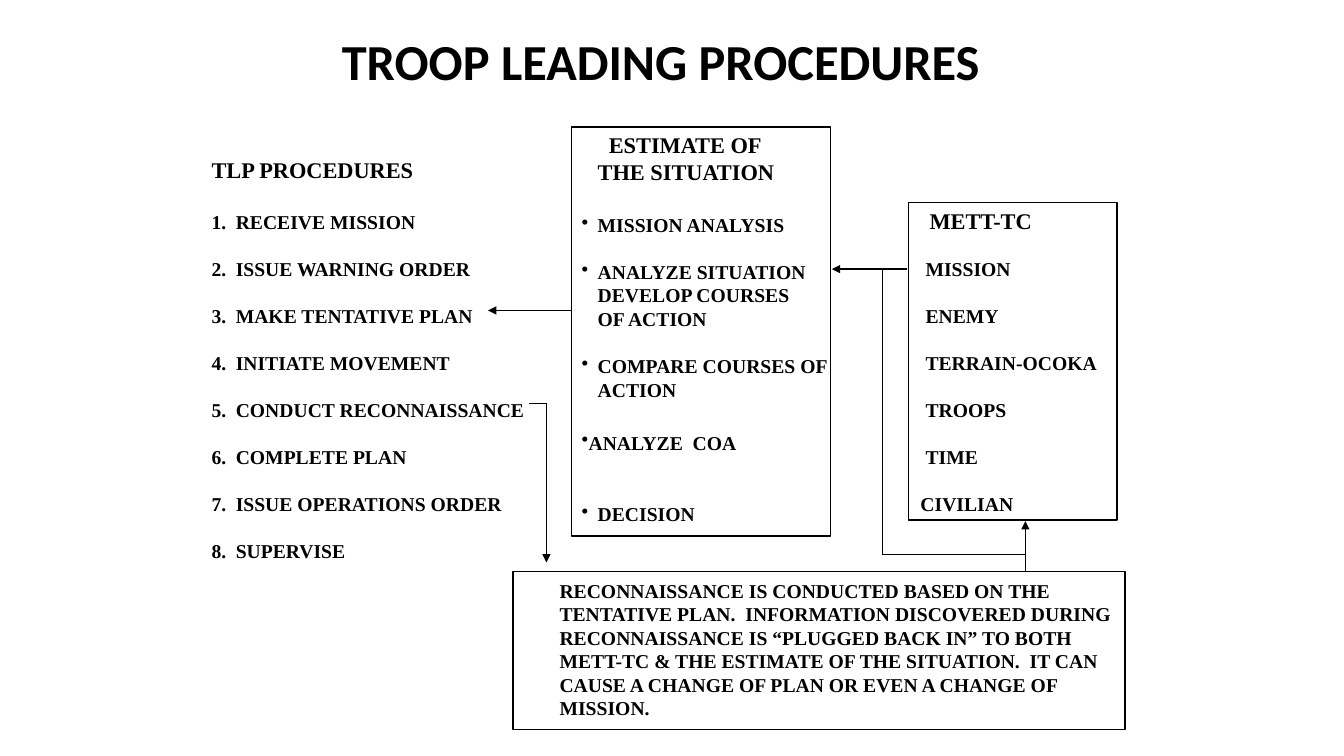
from itertools import pairwise

from lxml.etree import SubElement
from pptx import Presentation
from pptx.dml.color import RGBColor
from pptx.enum.shapes import MSO_CONNECTOR, MSO_SHAPE
from pptx.enum.text import MSO_ANCHOR, PP_ALIGN
from pptx.oxml.ns import qn
from pptx.util import Pt

PX = 9144  # 100 px to the inch
BLACK = RGBColor(0, 0, 0)
HEAD, BODY = 16, 14
PITCH = 1.2  # line height per point of type
GAP = BODY * PITCH  # one empty line of body text

STEPS = ["RECEIVE MISSION", "ISSUE WARNING ORDER", "MAKE TENTATIVE PLAN",
         "INITIATE MOVEMENT", "CONDUCT RECONNAISSANCE", "COMPLETE PLAN",
         "ISSUE OPERATIONS ORDER", "SUPERVISE"]
FACTORS = ["MISSION", "ENEMY", "TERRAIN-OCOKA", "TROOPS", "TIME"]
# text, space before in points, indent in px, bulleted
STAGES = [("MISSION ANALYSIS", 20, 16, True),
          ("ANALYZE SITUATION", GAP, 16, True),
          ("DEVELOP COURSES", 0, 16, False),
          ("OF ACTION", 0, 16, False),
          ("COMPARE COURSES OF", GAP, 16, True),
          ("ACTION", 0, 16, False),
          ("ANALYZE  COA", 21, 7, True),
          ("DECISION", 34.5, 16, True)]
RECON = ("RECONNAISSANCE IS CONDUCTED BASED ON THE TENTATIVE PLAN.  "
         "INFORMATION DISCOVERED DURING RECONNAISSANCE IS “PLUGGED BACK IN” "
         "TO BOTH METT-TC & THE ESTIMATE OF THE SITUATION.  IT CAN CAUSE A "
         "CHANGE OF PLAN OR EVEN A CHANGE OF MISSION.")


def scale(*sizes):
    return [size * PX for size in sizes]


def style(run, size, face="Times New Roman"):
    font = run.font
    font.size, font.name, font.bold = Pt(size), face, True
    font.color.rgb = BLACK


def setup(frame, left, top, right):
    frame.word_wrap = True
    frame.vertical_anchor = MSO_ANCHOR.TOP
    frame.margin_left, frame.margin_top, frame.margin_right = scale(left, top, right)
    frame.margin_bottom = 0
    return frame


def frame_box(slide, box, left, top, right):
    """Outlined rectangle; returns its text frame."""
    rect = slide.shapes.add_shape(MSO_SHAPE.RECTANGLE, *scale(*box))
    rect.shadow.inherit = False
    rect.fill.background()
    rect.line.color.rgb = BLACK
    rect.line.width = Pt(1)
    return setup(rect.text_frame, left, top, right)


def add_line(frame, text, size=BODY, gap=0, indent=0, mark=None):
    """Add a paragraph; mark is a bullet element name with its attributes."""
    para = frame.paragraphs[0]
    if para.runs:
        para = frame.add_paragraph()
    para.alignment = PP_ALIGN.LEFT
    para.line_spacing = Pt(size * PITCH)
    para.space_before = Pt(gap)
    props = para._p.get_or_add_pPr()
    props.set("marL", str(indent * PX))
    props.set("indent", str(-indent * PX if mark else 0))
    name, attrs = mark or ("a:buNone", {})
    SubElement(props, qn(name), attrs)
    run = para.add_run()
    run.text = text
    style(run, size)


def add_title(slide, box):
    title = slide.shapes.title
    title.left, title.top, title.width, title.height = scale(*box)
    frame = title.text_frame
    frame.word_wrap = False
    frame.vertical_anchor = MSO_ANCHOR.MIDDLE
    para = frame.paragraphs[0]
    para.alignment = PP_ALIGN.CENTER
    run = para.add_run()
    run.text = "TROOP LEADING PROCEDURES"
    style(run, 36, "Calibri")


def add_steps(slide, box):
    frame = setup(slide.shapes.add_textbox(*scale(*box)).text_frame, 10, 5, 0)
    add_line(frame, "TLP PROCEDURES", HEAD)
    mark = ("a:buAutoNum", {"type": "arabicPeriod"})
    for i, step in enumerate(STEPS):
        add_line(frame, step, gap=GAP if i else HEAD * PITCH, indent=24, mark=mark)


def add_stages(slide, box):
    frame = frame_box(slide, box, 10, 4, 0)
    add_line(frame, "ESTIMATE OF", HEAD, indent=27)
    add_line(frame, "THE SITUATION", HEAD, indent=16)
    for text, gap, indent, dot in STAGES:
        mark = ("a:buChar", {"char": "•"}) if dot else None
        add_line(frame, text, gap=gap, indent=indent, mark=mark)


def add_factors(slide, box):
    frame = frame_box(slide, box, 12, 4, 0)
    add_line(frame, "METT-TC", HEAD, indent=9)
    for factor in FACTORS:
        add_line(frame, factor, gap=GAP, indent=5)
    add_line(frame, "CIVILIAN", gap=GAP)


def add_recon(slide, box):
    add_line(frame_box(slide, box, 46, 7, 8), RECON)


def trace(slide, points, arrow=True):
    """Join the points with straight lines, an arrowhead on the last."""
    for start, end in pairwise(points):
        link = slide.shapes.add_connector(
            MSO_CONNECTOR.STRAIGHT, *scale(*start, *end))
        link.line.color.rgb = BLACK
        link.line.width = Pt(1)
        if arrow and end == points[-1]:
            SubElement(link.line._get_or_add_ln(), qn("a:tailEnd"), type="triangle")
        SubElement(link._element.spPr, qn("a:effectLst"))


def add_links(slide):
    trace(slide, [(900, 267), (825, 267)])  # factors to estimate
    trace(slide, [(1017, 566), (1017, 517)])  # reconnaissance to factors
    trace(slide, [(567, 308), (484, 308)])  # estimate to plan
    trace(slide, [(525, 400), (542, 400), (542, 558)])  # step 5 to reconnaissance
    trace(slide, [(1017, 550), (875, 550), (875, 267)], arrow=False)  # feedback


def main():
    deck = Presentation()
    deck.slide_width, deck.slide_height = scale(1333, 750)
    slide = deck.slides.add_slide(deck.slide_layouts[5])
    add_title(slide, (326, 25, 659, 70))
    add_steps(slide, (200, 150, 353, 417))
    add_stages(slide, (567, 126, 257, 406))
    add_factors(slide, (901, 201, 207, 315))
    add_recon(slide, (509, 567, 607, 157))
    add_links(slide)
    deck.save("out.pptx")


if __name__ == "__main__":
    main()
